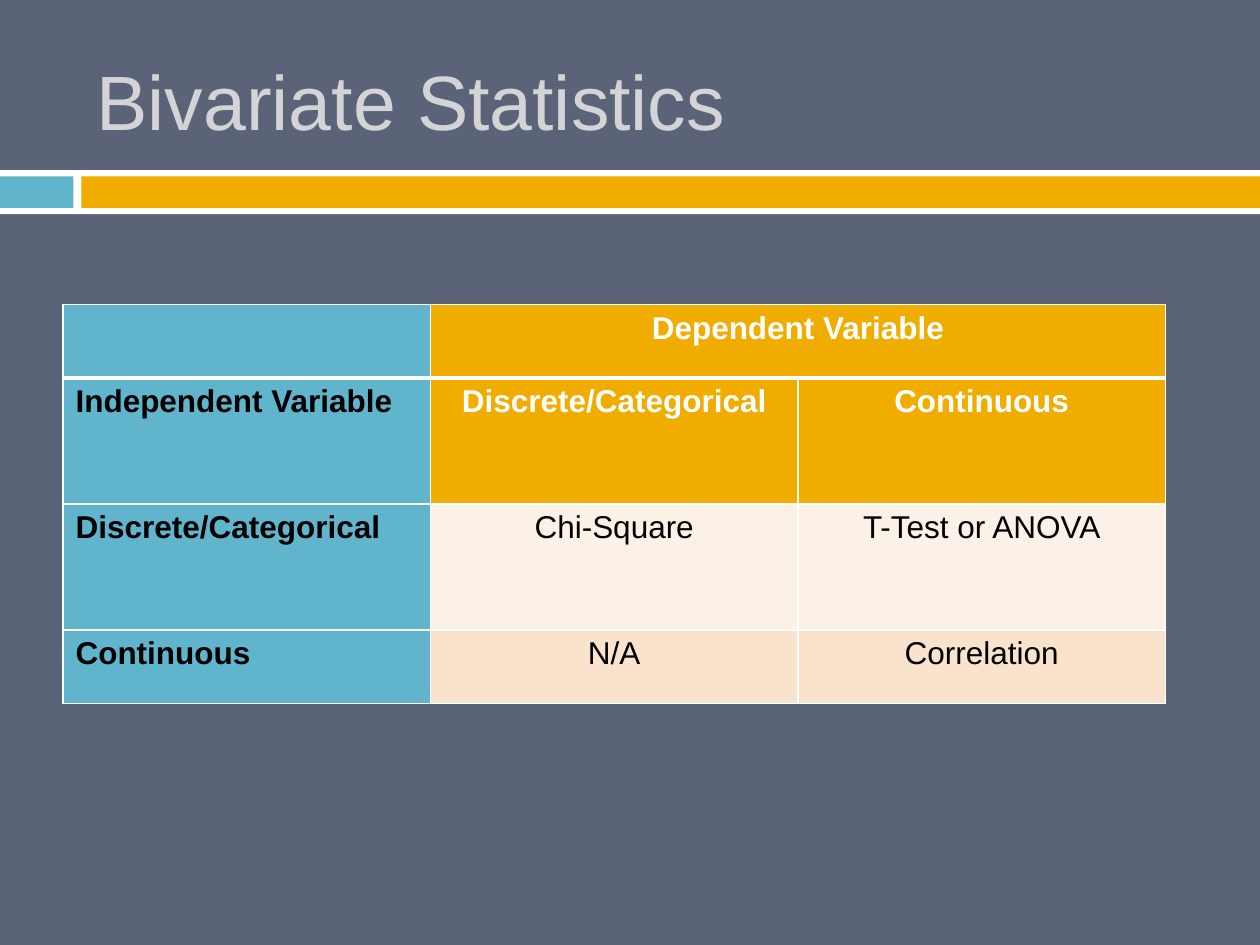
from lxml import etree
from pptx import Presentation
from pptx.dml.color import RGBColor
from pptx.enum.shapes import MSO_SHAPE
from pptx.enum.text import MSO_ANCHOR, PP_ALIGN
from pptx.oxml.ns import qn
from pptx.util import Pt

RECTANGLE = MSO_SHAPE.RECTANGLE
MIDDLE = MSO_ANCHOR.MIDDLE
LEFT, CENTER = PP_ALIGN.LEFT, PP_ALIGN.CENTER

FONT = "Arial"
SLATE, WHITE, BLACK = "5A6378", "FFFFFF", "000000"
BLUE, GOLD, TITLE_GRAY = "60B5CC", "F0AD00", "D4D4D6"
ROW_TINTS = {2: "FCF1E7", 3: "F9E3CC"}

COLUMN_WIDTH = 210
ROW_HEIGHTS = [42, 72, 72, 42]
CELL_TEXTS = [
    ["", "Dependent Variable", ""],
    ["Independent Variable", "Discrete/Categorical", "Continuous"],
    ["Discrete/Categorical", "Chi-Square", "T-Test or ANOVA"],
    ["Continuous", "N/A", "Correlation"],
]


def color(value):
    """Return the colour for a hex string."""
    return RGBColor.from_string(value)


def format_paragraph(paragraph, size, text_color, bold=False, alignment=LEFT):
    """Set the font and alignment of a paragraph."""
    paragraph.alignment = alignment
    font = paragraph.font
    font.name, font.size, font.bold = FONT, Pt(size), bold
    font.color.rgb = color(text_color)


def add_title(slide, text):
    """Place and format the slide title."""
    title = slide.shapes.title
    title.left, title.top, title.width, title.height = Pt(48), Pt(18), Pt(642), Pt(78)
    title.text_frame.text = text
    title.text_frame.vertical_anchor = MIDDLE
    format_paragraph(title.text_frame.paragraphs[0], 44, TITLE_GRAY)


def add_band(slide, left, top, width, height, fill):
    """Add a plain filled rectangle."""
    shape = slide.shapes.add_shape(RECTANGLE, Pt(left), Pt(top), Pt(width), Pt(height))
    shape.shadow.inherit = False
    shape.fill.solid()
    shape.fill.fore_color.rgb = color(fill)
    shape.line.fill.background()


def set_borders(cell, widths):
    """Draw white borders with the given width for each side."""
    properties = cell._tc.get_or_add_tcPr()
    for side, width in widths.items():
        line = etree.SubElement(properties, qn(f"a:ln{side}"), w=str(Pt(width)))
        fill = etree.SubElement(line, qn("a:solidFill"))
        etree.SubElement(fill, qn("a:srgbClr"), val=WHITE)


def format_cell(cell, row, column, text):
    """Fill a table cell and style it by its role in the grid."""
    is_label = column == 0
    is_header = row < 2 and not is_label
    top = 3 if row == 1 else 1
    bottom = 3 if row == 0 else 1
    set_borders(cell, {"L": 1, "R": 1, "T": top, "B": bottom})
    cell.fill.solid()
    cell.fill.fore_color.rgb = color(BLUE if is_label else ROW_TINTS.get(row, GOLD))
    cell.text = text
    format_paragraph(
        cell.text_frame.paragraphs[0],
        18,
        WHITE if is_header else BLACK,
        bold=is_label or is_header,
        alignment=LEFT if is_label else CENTER,
    )


def add_statistics_table(slide):
    """Add the table of tests by variable type."""
    columns = len(CELL_TEXTS[0])
    table = slide.shapes.add_table(
        len(CELL_TEXTS), columns, Pt(36), Pt(174),
        Pt(COLUMN_WIDTH * columns), Pt(sum(ROW_HEIGHTS)),
    ).table
    for column in table.columns:
        column.width = Pt(COLUMN_WIDTH)
    for row, height in zip(table.rows, ROW_HEIGHTS):
        row.height = Pt(height)
    for row, texts in enumerate(CELL_TEXTS):
        for column, text in enumerate(texts):
            format_cell(table.cell(row, column), row, column, text)
    table.cell(0, 1).merge(table.cell(0, 2))


def main():
    """Build the slide and save it."""
    presentation = Presentation()
    presentation.slide_width, presentation.slide_height = Pt(720), Pt(540)
    slide = presentation.slides.add_slide(presentation.slide_layouts[5])
    slide.background.fill.solid()
    slide.background.fill.fore_color.rgb = color(SLATE)
    add_band(slide, 0, 97.2, 720, 25.2, WHITE)
    add_band(slide, 0, 100.8, 42, 18, BLUE)
    add_band(slide, 46.5, 100.8, 673.5, 18, GOLD)
    add_title(slide, "Bivariate Statistics")
    add_statistics_table(slide)
    presentation.save("out.pptx")


if __name__ == "__main__":
    main()
